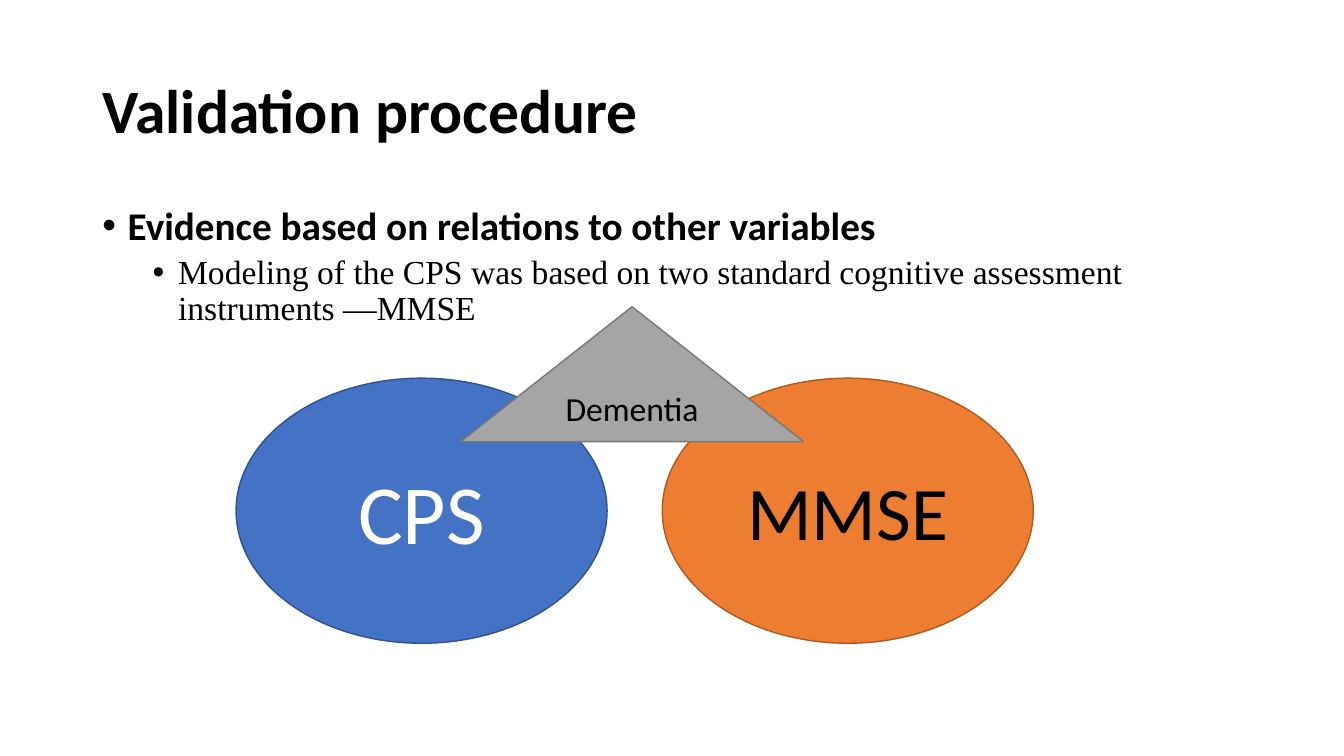
from lxml import etree
from pptx import Presentation
from pptx.dml.color import RGBColor
from pptx.enum import shapes, text
from pptx.oxml import ns
from pptx.util import Cm, Pt

ALIGN = text.PP_ALIGN
ANCHOR = text.MSO_ANCHOR
SHAPE = shapes.MSO_SHAPE


def color(code):
    return RGBColor.from_string(code)


def write(para, words, size, font="Calibri", ink="000000", bold=False,
          align=ALIGN.LEFT, line=1.0, before=0):
    para.alignment = align
    para.line_spacing = line
    para.space_before = Pt(before)
    run = para.add_run()
    run.text = words
    run.font.name = font
    run.font.size = Pt(size)
    run.font.bold = bold
    run.font.color.rgb = color(ink)


def bullet(para, left, hang):
    """Give the paragraph a round bullet with a hanging indent."""
    props = para._p.get_or_add_pPr()
    props.set("marL", str(Cm(left)))
    props.set("indent", str(-Cm(hang)))
    face = etree.SubElement(props, ns.qn("a:buFont"))
    face.set("typeface", "Arial")
    mark = etree.SubElement(props, ns.qn("a:buChar"))
    mark.set("char", "•")


def place(item, box):
    item.left, item.top, item.width, item.height = map(Cm, box)


def title(slide, box, words):
    head = slide.shapes.title
    place(head, box)
    frame = head.text_frame
    frame.auto_size = text.MSO_AUTO_SIZE.NONE
    frame.vertical_anchor = ANCHOR.MIDDLE
    write(frame.paragraphs[0], words, 44, bold=True, line=0.9)


def points(slide, box, main, sub):
    frame = slide.shapes.add_textbox(*map(Cm, box)).text_frame
    frame.word_wrap = True
    para = frame.paragraphs[0]
    write(para, main, 28, bold=True, line=0.9)
    bullet(para, 0.64, 0.64)
    para = frame.add_paragraph()
    para.level = 1
    write(para, sub, 24, font="Times New Roman", line=0.9, before=5)
    bullet(para, 1.91, 0.64)


def figure(slide, kind, box, fill, edge, words, size, ink="000000"):
    item = slide.shapes.add_shape(kind, *map(Cm, box))
    item.shadow.inherit = False
    item.fill.solid()
    item.fill.fore_color.rgb = color(fill)
    item.line.color.rgb = color(edge)
    item.line.width = Pt(1)
    frame = item.text_frame
    frame.word_wrap = True
    frame.vertical_anchor = ANCHOR.MIDDLE
    write(frame.paragraphs[0], words, size, ink=ink, align=ALIGN.CENTER)


def diagram(slide, box):
    """Two test ovals side by side, bridged by the dementia triangle."""
    left, top, width, height = box
    wide, tall = 9.35, 6.68
    low = top + height - tall
    figure(slide, SHAPE.OVAL, (left, low, wide, tall),
           "4472C4", "2F528F", "CPS", 60, "FFFFFF")
    figure(slide, SHAPE.OVAL, (left + width - wide, low, wide, tall),
           "ED7D31", "AE5A21", "MMSE", 54)
    figure(slide, SHAPE.ISOSCELES_TRIANGLE, (left + 5.66, top, 8.64, 3.4),
           "A5A5A5", "787878", "Dementia", 24)


def main():
    deck = Presentation()
    deck.slide_width, deck.slide_height = Cm(33.87), Cm(19.05)
    slide = deck.slides.add_slide(deck.slide_layouts[5])
    title(slide, (2.33, 1.01, 29.21, 3.68), "Validation procedure")
    points(slide, (2.33, 5.07, 29.21, 12.09),
           "Evidence based on relations to other variables",
           "Modeling of the CPS was based on two standard cognitive "
           "assessment instruments —MMSE")
    diagram(slide, (5.95, 7.73, 20.09, 8.48))
    deck.save("out.pptx")


if __name__ == "__main__":
    main()
